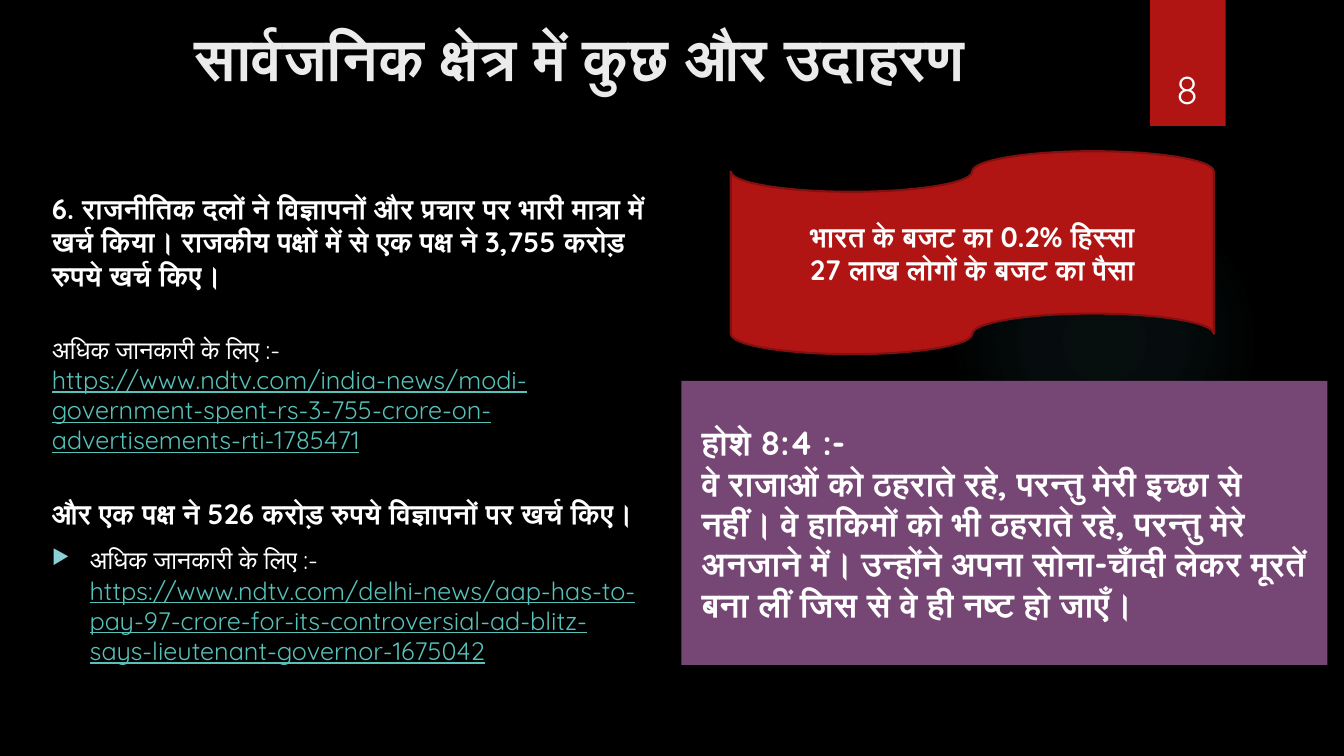
import lxml.etree
import pptx
import pptx.dml.color
import pptx.enum.shapes
import pptx.enum.text
import pptx.oxml
import pptx.oxml.ns
import pptx.util

Pt = pptx.util.Pt
Shape = pptx.enum.shapes.MSO_SHAPE
Align = pptx.enum.text.PP_ALIGN
Anchor = pptx.enum.text.MSO_ANCHOR

FONT = "Quicksand"
SIZE = (960, 540)
BACKGROUND, WHITE, RED, DARK_RED = "000000", "FFFFFF", "B01513", "82100E"
PURPLE, LINK, BULLET, GLOW, TITLE = "764674", "58C1BA", "8AD0D6", "50B9C1", "EBEBEB"

STYLES = {
    "title": {"size": 42, "bold": True, "color": TITLE},
    "number": {"size": 28, "color": WHITE},
    "strong": {"size": 20, "bold": True, "color": WHITE},
    "plain": {"size": 18, "color": WHITE},
    "link": {"size": 18, "color": LINK, "underline": True},
    "verse": {"size": 24, "bold": True, "color": WHITE},
}

# Each paragraph: space before, bulleted or not, lines of (style, text)
TITLE_TEXT = [(0, False, [("title", "सार्वजनिक क्षेत्र में कुछ और उदाहरण")])]
NUMBER_TEXT = [(0, False, [("number", "8")])]
BODY_TEXT = [
    (0, False, [("strong", "6. राजनीतिक दलों ने विज्ञापनों और प्रचार पर भारी मात्रा में खर्च किया। "
                 "राजकीय पक्षों में से एक पक्ष ने 3,755 करोड़ रुपये खर्च किए।")]),
    (30, False, [("plain", "अधिक जानकारी के लिए :-"),
                 ("link", "https://www.ndtv.com/india-news/modi-government-spent-rs-3-755-"
                  "crore-on-advertisements-rti-1785471")]),
    (30, False, [("strong", "और एक पक्ष ने 526 करोड़ रुपये विज्ञापनों पर खर्च किए।")]),
    (10, True, [("plain", "अधिक जानकारी के लिए :-"),
                ("link", "https://www.ndtv.com/delhi-news/aap-has-to-pay-97-crore-for-its-"
                 "controversial-ad-blitz-says-lieutenant-governor-1675042")]),
]
BUDGET_TEXT = [(0, False, [("strong", "भारत के बजट का 0.2% हिस्सा"),
                           ("strong", "27 लाख लोगों के बजट का पैसा")])]
VERSE_TEXT = [
    (0, False, [("verse", "होशे 8:4 :-")]),
    (0, False, [("verse", "वे राजाओं को ठहराते रहे, परन्तु मेरी इच्छा से नहीं। "
                 "वे हाकिमों को भी ठहराते रहे, परन्तु मेरे अनजाने में। "
                 "उन्होंने अपना सोना-चाँदी लेकर मूरतें बना लीं जिस से वे ही नष्ट हो जाएँ।")]),
]

# Left, top, width, height
GLOW_AT = (677.5, 131.8, 222, 222)
TAB_AT = (821.5, 0, 54, 90)
BODY_AT = (30, 108, 441, 396)
NUMBER_AT = (815, 23, 66, 60.5)
BUDGET_AT = (522, 108, 345, 145)
VERSE_AT = (486.7, 272, 461.5, 203)
TITLE_AT = (132, 12, 648, 72)

GLOW_STOPS = [(0, 7), (36, 6), (69, 0)]  # position and opacity, percent
BULLET_INDENT = 27


def rgb(value):
    return pptx.dml.color.RGBColor.from_string(value)


def add_panel(page, kind, at, fill, line=None):
    panel = page.shapes.add_shape(kind, *map(Pt, at))
    panel.shadow.inherit = False
    panel.fill.solid()
    panel.fill.fore_color.rgb = rgb(fill)
    if line:
        panel.line.color.rgb = rgb(line)
        panel.line.width = Pt(1.5)
    else:
        panel.line.fill.background()
    return panel


def add_glow(page):
    """Faint round light that fades out from its centre."""
    glow = add_panel(page, Shape.OVAL, GLOW_AT, GLOW)
    stops = "".join(
        f'<a:gs pos="{place * 1000}"><a:srgbClr val="{GLOW}">'
        f'<a:alpha val="{opacity * 1000}"/></a:srgbClr></a:gs>'
        for place, opacity in GLOW_STOPS)
    gradient = pptx.oxml.parse_xml(
        f'<a:gradFill {pptx.oxml.ns.nsdecls("a")}><a:gsLst>{stops}</a:gsLst>'
        '<a:path path="circle"><a:fillToRect l="50000" t="50000" r="50000" b="50000"/>'
        '</a:path></a:gradFill>')
    properties = glow._element.spPr
    properties.replace(properties.find(pptx.oxml.ns.qn("a:solidFill")), gradient)


def add_bullet(para):
    properties = para._p.get_or_add_pPr()
    properties.set("marL", str(Pt(BULLET_INDENT)))
    properties.set("indent", str(-Pt(BULLET_INDENT)))
    color = lxml.etree.SubElement(properties, pptx.oxml.ns.qn("a:buClr"))
    for parent, tag, name, value in [
            (color, "a:srgbClr", "val", BULLET),
            (properties, "a:buSzPct", "val", "80000"),
            (properties, "a:buChar", "char", "▶")]:
        lxml.etree.SubElement(parent, pptx.oxml.ns.qn(tag)).set(name, value)


def format_span(span, style):
    span.font.name = FONT
    for name, value in STYLES[style].items():
        if name == "color":
            span.font.color.rgb = rgb(value)
        else:
            setattr(span.font, name, Pt(value) if name == "size" else value)


def write(box, paragraphs, anchor, align=Align.LEFT, inset=None):
    frame = box.text_frame
    frame.word_wrap = True
    frame.vertical_anchor = anchor
    if inset:
        for side in ("left", "top", "right", "bottom"):
            setattr(frame, f"margin_{side}", Pt(inset))
    for index, (space, bulleted, lines) in enumerate(paragraphs):
        para = frame.add_paragraph() if index else frame.paragraphs[0]
        para.alignment = align
        para.space_before = Pt(space)
        if bulleted:
            add_bullet(para)
        for row, (style, text) in enumerate(lines):
            if row:
                para.add_line_break()
            span = para.add_run()
            span.text = text
            format_span(span, style)


def add_text(page, at, *args):
    write(page.shapes.add_textbox(*map(Pt, at)), *args)


def main():
    deck = pptx.Presentation()
    deck.slide_width, deck.slide_height = map(Pt, SIZE)
    page = deck.slides.add_slide(deck.slide_layouts[6])
    page.background.fill.solid()
    page.background.fill.fore_color.rgb = rgb(BACKGROUND)

    add_glow(page)
    add_panel(page, Shape.RECTANGLE, TAB_AT, RED)
    add_text(page, BODY_AT, BODY_TEXT, Anchor.MIDDLE)
    add_text(page, NUMBER_AT, NUMBER_TEXT, Anchor.BOTTOM, Align.CENTER)
    budget = add_panel(page, Shape.FLOWCHART_PUNCHED_TAPE, BUDGET_AT, RED, DARK_RED)
    write(budget, BUDGET_TEXT, Anchor.MIDDLE, Align.CENTER)
    verse = add_panel(page, Shape.RECTANGLE, VERSE_AT, PURPLE)
    write(verse, VERSE_TEXT, Anchor.MIDDLE, Align.LEFT, 14.4)
    add_text(page, TITLE_AT, TITLE_TEXT, Anchor.TOP)
    deck.save("out.pptx")


if __name__ == "__main__":
    main()
